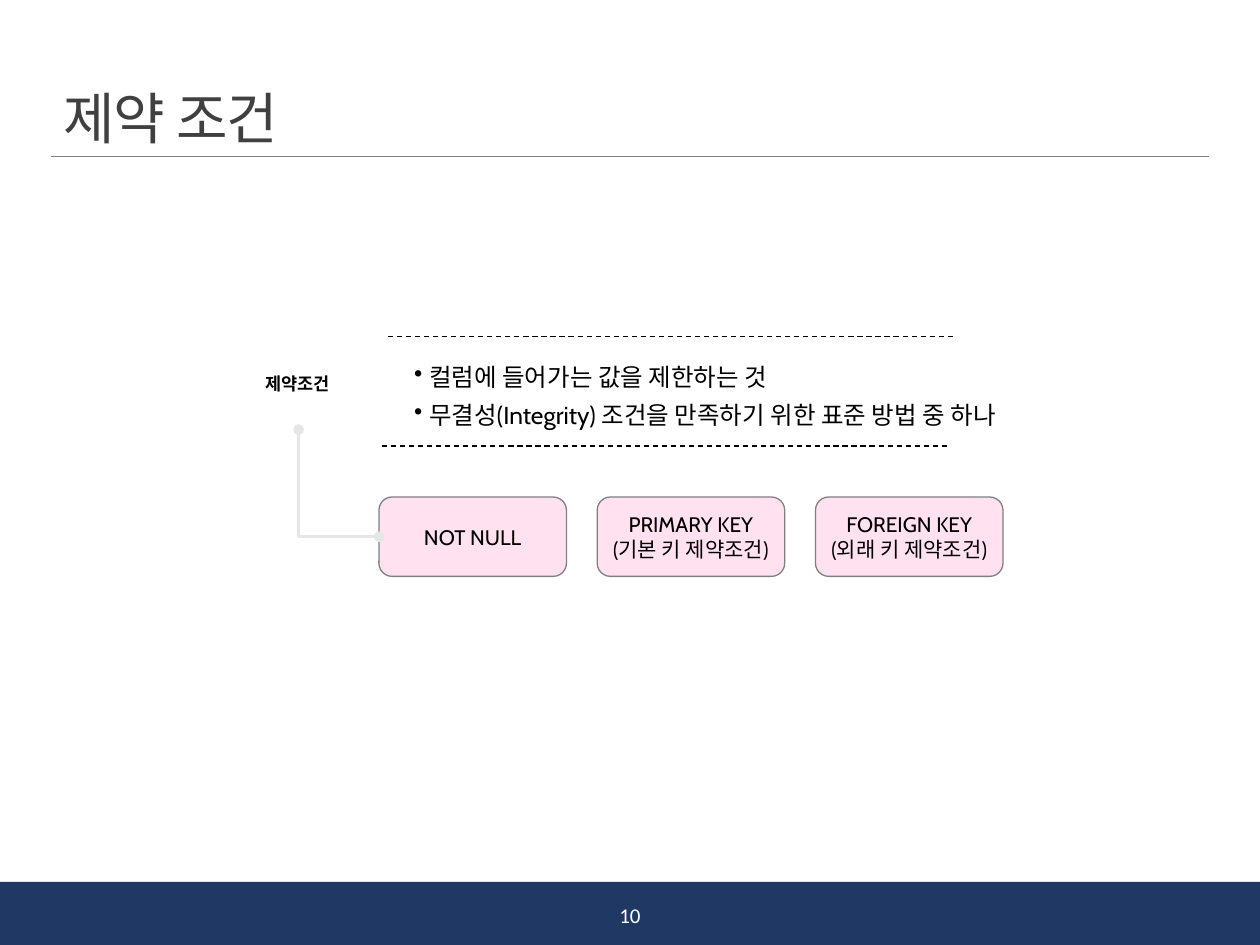
from lxml.etree import SubElement
from pptx import Presentation
from pptx.dml.color import RGBColor
from pptx.enum.dml import MSO_LINE
from pptx.enum.shapes import MSO_CONNECTOR as Connector, MSO_SHAPE as Shape
from pptx.enum.text import MSO_ANCHOR as Anchor, MSO_AUTO_SIZE as AutoSize, PP_ALIGN as Align
from pptx.oxml.ns import qn
from pptx.util import Cm, Pt

COLORS = {
    "navy": "203864",
    "gray": "808080",
    "title": "404040",
    "black": "000000",
    "white": "FFFFFF",
    "pink": "FF99CC",
    "light": "E7E6E6",
}


def rgb(name):
    return RGBColor.from_string(COLORS[name])


class SlideBuilder:
    """Holds the fonts and the current slide; lengths are in centimetres."""

    heading_font = "Calibri"
    body_font = "Cabin"

    def __init__(self, slide):
        self.slide = slide
        self.shapes = slide.shapes

    def fill_text(self, text_frame, lines, size, color="black", font=None, bold=False,
                  align=Align.LEFT, anchor=Anchor.TOP):
        text_frame.word_wrap = True
        text_frame.auto_size = AutoSize.NONE
        text_frame.vertical_anchor = anchor
        for index, line in enumerate(lines):
            paragraph = text_frame.add_paragraph() if index else text_frame.paragraphs[0]
            paragraph.text = line
            paragraph.alignment = align
            for run in paragraph.runs:
                run.font.name = font or self.body_font
                run.font.size = Pt(size)
                run.font.bold = bold
                run.font.color.rgb = rgb(color)
        return text_frame

    def title(self, text, left, top, width, height):
        title = self.shapes.title
        title.left, title.top, title.width, title.height = map(Cm, (left, top, width, height))
        frame = self.fill_text(title.text_frame, [text], 32, "title", self.heading_font,
                               anchor=Anchor.BOTTOM)
        paragraph = frame.paragraphs[0]
        paragraph.line_spacing = 0.85
        paragraph.runs[0].font._element.set("spc", "-50")

    def text(self, lines, left, top, width, height, size, **style):
        box = self.shapes.add_textbox(Cm(left), Cm(top), Cm(width), Cm(height))
        return self.fill_text(box.text_frame, lines, size, **style)

    def bullets(self, lines, left, top, width, height, size):
        frame = self.text(lines, left, top, width, height, size)
        for paragraph in frame.paragraphs:
            properties = paragraph._p.get_or_add_pPr()
            properties.set("marL", str(Cm(0.3)))
            properties.set("indent", str(-Cm(0.3)))
            SubElement(properties, qn("a:buChar"), char="•")
            paragraph.line_spacing = 1.3

    def box(self, kind, left, top, width, height, fill, line=None, opacity=None):
        shape = self.shapes.add_shape(kind, Cm(left), Cm(top), Cm(width), Cm(height))
        shape.shadow.inherit = False
        shape.fill.solid()
        shape.fill.fore_color.rgb = rgb(fill)
        if opacity:
            color = shape._element.spPr.find(qn("a:solidFill"))[0]
            SubElement(color, qn("a:alpha"), val=str(opacity * 1000))
        if line:
            shape.line.color.rgb = rgb(line)
            shape.line.width = Pt(0.75)
        else:
            shape.line.fill.background()
        return shape

    def line(self, x1, y1, x2, y2, color, width, dash=None, kind=Connector.STRAIGHT):
        connector = self.shapes.add_connector(kind, Cm(x1), Cm(y1), Cm(x2), Cm(y2))
        connector.line.color.rgb = rgb(color)
        connector.line.width = Pt(width)
        if dash:
            connector.line.dash_style = dash
        SubElement(connector._element.spPr, qn("a:effectLst"))
        return connector

    def corner(self, x1, y1, x2, y2, color, width):
        """Go down, then right, with a dot at each end."""
        center_x, center_y = (x1 + x2) / 2, (y1 + y2) / 2
        half_down, half_right = (y2 - y1) / 2, (x2 - x1) / 2
        # The preset runs across then down, so it is laid out mirrored and turned.
        connector = self.line(center_x + half_down, center_y - half_right,
                              center_x - half_down, center_y + half_right,
                              color, width, kind=Connector.ELBOW)
        properties = connector._element.spPr
        properties.find(qn("a:xfrm")).set("rot", "16200000")
        properties.find(qn("a:prstGeom")).set("prst", "bentConnector2")
        outline = properties.find(qn("a:ln"))
        for end in ("a:headEnd", "a:tailEnd"):
            SubElement(outline, qn(end), type="oval")


def main():
    presentation = Presentation()
    presentation.slide_width, presentation.slide_height = Cm(25.4), Cm(19.05)
    builder = SlideBuilder(presentation.slides.add_slide(presentation.slide_layouts[5]))

    builder.box(Shape.RECTANGLE, 0, 17.78, 25.4, 1.27, "navy")
    builder.line(1.02, 3.15, 24.38, 3.15, "gray", 0.5)
    builder.title("제약 조건", 1.02, 1.07, 23.36, 2.1)
    builder.text(["10"], 11.33, 17.93, 2.74, 1.02, 12, color="white",
                 font=builder.heading_font, align=Align.CENTER, anchor=Anchor.MIDDLE)

    builder.text(["제약조건"], 5.1, 7.39, 1.91, 0.69, 10, bold=True)
    for left, top in ((7.82, 6.78), (7.7, 8.99)):
        builder.line(left, top, left + 11.4, top, "black", 0.75, MSO_LINE.DASH)
    builder.bullets(["컬럼에 들어가는 값을 제한하는 것",
                     "무결성(Integrity) 조건을 만족하기 위한 표준 방법 중 하나"],
                    8.1, 6.99, 13.72, 1.73, 14)

    constraints = ("NOT NULL", "PRIMARY KEY\n(기본 키 제약조건)", "FOREIGN KEY\n(외래 키 제약조건)")
    for index, constraint in enumerate(constraints):
        box = builder.box(Shape.ROUNDED_RECTANGLE, 7.64 + 4.4 * index, 10.02, 3.78, 1.6,
                          "pink", "gray", opacity=29)
        frame = builder.fill_text(box.text_frame, [constraint], 12,
                                  align=Align.CENTER, anchor=Anchor.MIDDLE)
        frame.word_wrap = False
    builder.corner(6.02, 8.66, 7.64, 10.82, "light", 2)

    presentation.save("out.pptx")


if __name__ == "__main__":
    main()
